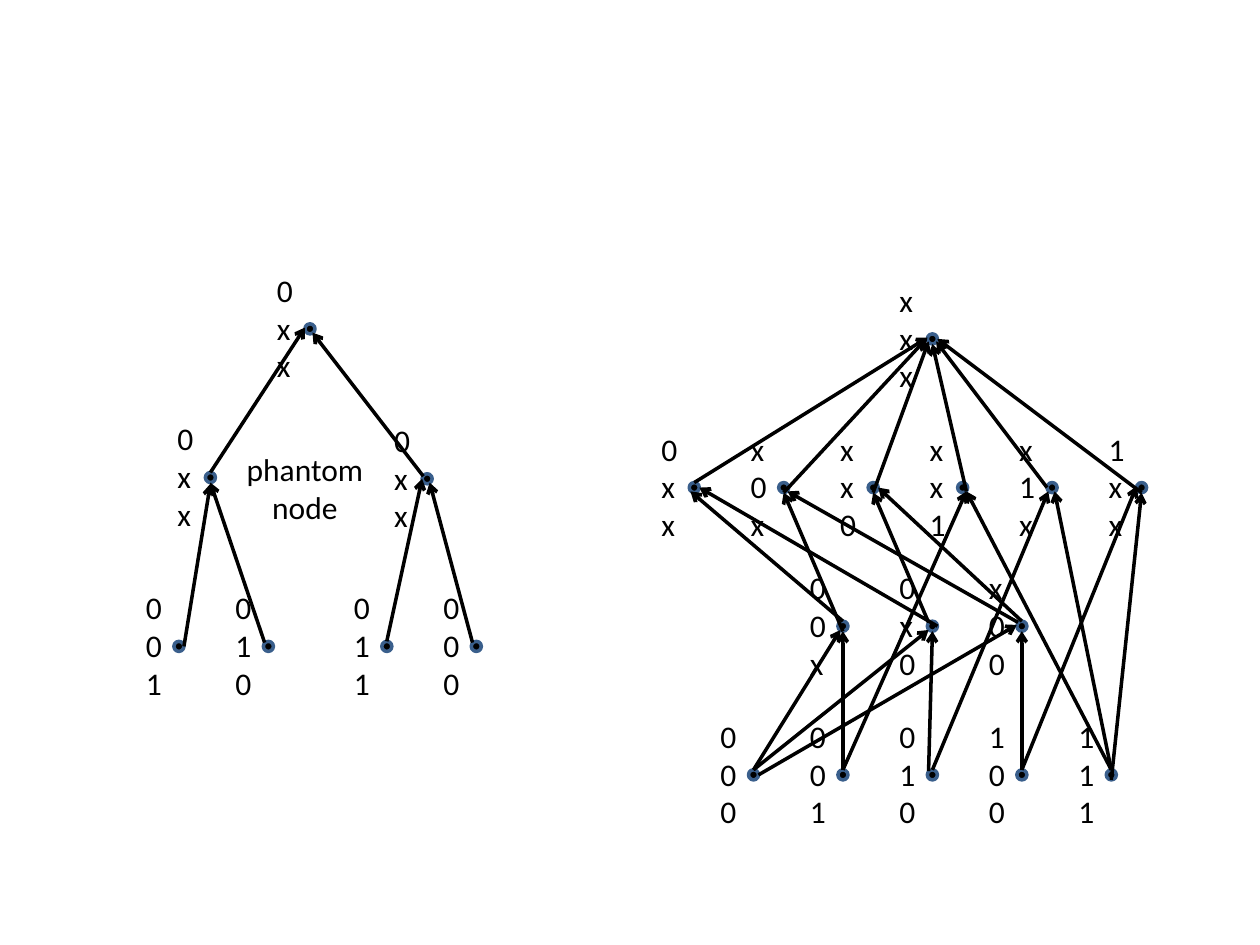
from pptx import Presentation
from pptx.dml.color import RGBColor
from pptx.enum.shapes import MSO_CONNECTOR, MSO_SHAPE
from pptx.enum.text import MSO_AUTO_SIZE, PP_ALIGN
from pptx.oxml.ns import qn
from pptx.util import Inches, Pt
from lxml import etree

STRAIGHT = MSO_CONNECTOR.STRAIGHT
OVAL = MSO_SHAPE.OVAL
FIT_SHAPE = MSO_AUTO_SIZE.SHAPE_TO_FIT_TEXT
LEFT, CENTER = PP_ALIGN.LEFT, PP_ALIGN.CENTER

THEME = {
    "ink": RGBColor.from_string("000000"),
    "ring": RGBColor.from_string("3A5F8C"),
    "font": "Calibri",
    "size": Pt(18),
    "line": Pt(2),
}
NODE_SIZE = 0.08
NODE_PITCH = 0.71
LABEL_DX, LABEL_DY = 0.32, 0.47
LABEL_W, LABEL_H = 0.33, 1.01

prs = Presentation()
prs.slide_width, prs.slide_height = Inches(10), Inches(7.5)
s = prs.slides.add_slide(prs.slide_layouts[6])


def add_text(lines, x, y, w, h, align):
    tf = s.shapes.add_textbox(Inches(x), Inches(y), Inches(w), Inches(h)).text_frame
    tf.word_wrap = False
    tf.auto_size = FIT_SHAPE
    tf.text = "\n".join(lines)
    for p in tf.paragraphs:
        p.alignment = align
        p.font.name = THEME["font"]
        p.font.size = THEME["size"]
        p.font.color.rgb = THEME["ink"]


def add_arrow(x1, y1, x2, y2):
    arrow = s.shapes.add_connector(STRAIGHT, Inches(x1), Inches(y1), Inches(x2), Inches(y2))
    arrow.line.color.rgb = THEME["ink"]
    arrow.line.width = THEME["line"]
    etree.SubElement(arrow.line._get_or_add_ln(), qn("a:tailEnd"), type="arrow")
    etree.SubElement(arrow._element.spPr, qn("a:effectLst"))


lattice_rows = [
    (5.94, 6.11, ["000", "001", "010", "100", "111"]),
    (6.65, 4.93, ["00x", "0x0", "x00"]),
    (5.47, 3.83, ["0xx", "x0x", "xx0", "xx1", "x1x", "1xx"]),
    (7.36, 2.65, ["xxx"]),
]
tree_rows = [
    (1.38, 5.09, ["001", "010"]),
    (3.03, 5.09, ["011", "000"]),
    (3.35, 3.76, ["0xx"]),
    (1.63, 3.75, ["0xx"]),
    (2.42, 2.57, ["0xx"]),
]
lattice_arrows = [
    (5.98, 6.11, 6.67, 5), (6.69, 6.11, 6.69, 5.01), (5.98, 6.11, 7.37, 5),
    (7.37, 6.12, 7.4, 5.01), (6.02, 6.15, 8.07, 4.96), (8.11, 6.11, 8.11, 5.01),
    (6.69, 4.93, 5.48, 3.9), (7.44, 4.97, 5.55, 3.87), (6.69, 5.01, 6.22, 3.91),
    (8.08, 4.94, 6.25, 3.9), (7.37, 4.94, 6.93, 3.91), (8.11, 4.93, 6.97, 3.87),
    (6.69, 6.11, 7.67, 3.9), (8.82, 6.11, 7.67, 3.9), (7.4, 6.11, 8.32, 3.9),
    (8.82, 6.11, 8.37, 3.9), (8.11, 6.11, 9.02, 3.86), (8.82, 6.19, 9.06, 3.91),
    (5.51, 3.83, 7.36, 2.68), (6.22, 3.91, 7.36, 2.68), (6.93, 3.91, 7.37, 2.71),
    (7.67, 3.9, 7.4, 2.73), (8.31, 3.87, 7.43, 2.71), (9.06, 3.91, 7.44, 2.69),
]
tree_arrows = [
    (1.46, 5.13, 1.67, 3.84), (2.1, 5.1, 1.67, 3.83), (3.07, 5.09, 3.35, 3.8),
    (3.75, 5.1, 3.41, 3.83), (1.67, 3.75, 2.42, 2.6), (3.36, 3.78, 2.48, 2.64),
]

for rows, arrows in ((lattice_rows, lattice_arrows), (tree_rows, tree_arrows)):
    for left, top, labels in rows:
        for i, label in enumerate(labels):
            x = left + i * NODE_PITCH
            node = s.shapes.add_shape(OVAL, Inches(x), Inches(top),
                                      Inches(NODE_SIZE), Inches(NODE_SIZE))
            node.shadow.inherit = False
            node.fill.solid()
            node.fill.fore_color.rgb = THEME["ink"]
            node.line.color.rgb = THEME["ring"]
            node.line.width = THEME["line"]
            add_text(label, x - LABEL_DX, top - LABEL_DY, LABEL_W, LABEL_H, LEFT)
    for ends in arrows:
        add_arrow(*ends)

add_text(["phantom", "node"], 1.85, 3.52, 1.14, 0.71, CENTER)

prs.save("out.pptx")
